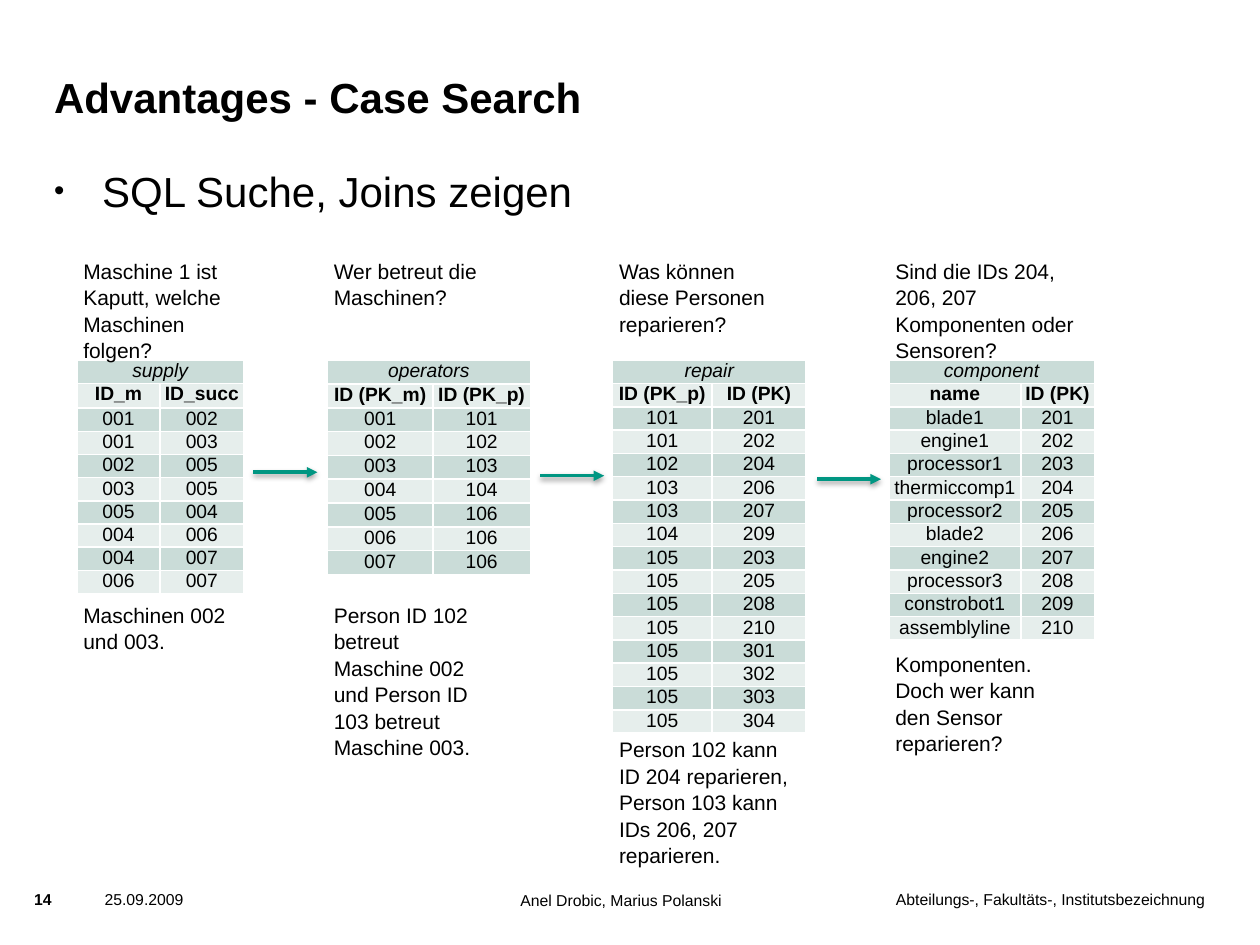
"""Build the slide on case search: four joined tables with questions and answers."""
import pptx
import pptx.dml.color
import pptx.enum.shapes
import pptx.enum.text
import pptx.oxml
import pptx.oxml.ns
import pptx.util

Cm = pptx.util.Cm
Pt = pptx.util.Pt
ALIGN = pptx.enum.text.PP_ALIGN
ANCHOR = pptx.enum.text.MSO_ANCHOR
BLACK = pptx.dml.color.RGBColor(0x00, 0x00, 0x00)
TEAL = pptx.dml.color.RGBColor(0x00, 0x96, 0x82)
BAND_DARK = pptx.dml.color.RGBColor(0xCA, 0xDC, 0xD8)
BAND_LIGHT = pptx.dml.color.RGBColor(0xE6, 0xEE, 0xEC)
NAMESPACE = pptx.oxml.ns.nsdecls("a")


def write_text(frame, text, size=12, bold=False, italic=False, align=ALIGN.LEFT,
               anchor=ANCHOR.TOP, margin=0, before=0, spacing=None, wrap=True):
    frame.word_wrap = wrap
    frame.vertical_anchor = anchor
    frame.margin_left = frame.margin_right = Cm(margin)
    frame.margin_top = frame.margin_bottom = Cm(margin)
    paragraph = frame.paragraphs[0]
    paragraph.alignment = align
    paragraph.space_before = Pt(before)
    paragraph.line_spacing = spacing
    run = paragraph.add_run()
    run.text = text
    run.font.name = "Arial"
    run.font.size = Pt(size)
    run.font.bold = bold
    run.font.italic = italic
    run.font.color.rgb = BLACK
    return paragraph


def add_text(left, top, width, height, text, **text_format):
    shape = slide.shapes.add_textbox(Cm(left), Cm(top), Cm(width), Cm(height))
    return write_text(shape.text_frame, text, **text_format)


presentation = pptx.Presentation()
presentation.slide_width = Cm(25.4)
presentation.slide_height = Cm(19.05)
slide = presentation.slides.add_slide(presentation.slide_layouts[6])

footer = {"size": 9, "before": 5}
add_text(16.69, 17.93, 7.6, 0.36, "Abteilungs-, Fakultäts-, Institutsbezeichnung",
         align=ALIGN.RIGHT, **footer)
add_text(2.11, 17.93, 2.26, 0.36, "25.09.2009", **footer)
add_text(10.49, 17.96, 4.42, 0.36, "Anel Drobic, Marius Polanski", **footer)
add_text(0.69, 17.93, 0.38, 0.36, "14", bold=True, wrap=False, **footer)

add_text(1.09, 0.91, 19.2, 1.55, "Advantages - Case Search", size=24, bold=True,
         anchor=ANCHOR.BOTTOM)
bullet = add_text(1.09, 3.33, 23.22, 13.59, "SQL Suche, Joins zeigen", size=24, before=5)
properties = bullet._p.get_or_add_pPr()
properties.set("marL", str(Cm(0.97)))
properties.set("indent", str(-Cm(0.97)))
for element in ('<a:buSzPct {} val="70000"/>', '<a:buFont {} typeface="Arial"/>',
                '<a:buChar {} char="•"/>'):
    properties.append(pptx.oxml.parse_xml(element.format(NAMESPACE)))

QUESTION_TOP, TABLE_TOP = 5.05, 7.26
steps = [
    {"left": 1.55, "widths": (1.68, 1.68), "row": 0.45, "header": 0.5, "name": "supply",
     "columns": ("ID_m", "ID_succ"),
     "rows": [("001", "002"), ("001", "003"), ("002", "005"), ("003", "005"),
              ("005", "004"), ("004", "006"), ("004", "007"), ("006", "007")],
     "question": "Maschine 1 ist Kaputt, welche Maschinen folgen?",
     "question_size": (3.38, 2.72),
     "answer": "Maschinen 002 und 003.", "answer_box": (11.99, 3.38, 1.73)},
    {"left": 6.6, "widths": (2.13, 1.96), "row": 0.48, "header": 0.48, "name": "operators",
     "columns": ("ID (PK_m)", "ID (PK_p)"),
     "rows": [("001", "101"), ("002", "102"), ("003", "103"), ("004", "104"),
              ("005", "106"), ("006", "106"), ("007", "106")],
     "question": "Wer betreut die Maschinen?", "question_size": (3.38, 1.73),
     "answer": "Person ID 102 betreut Maschine 002 und Person ID 103 betreut Maschine 003.",
     "answer_box": (11.99, 3.38, 3.71)},
    {"left": 12.35, "widths": (2.0, 1.9), "row": 0.47, "header": 0.47, "name": "repair",
     "columns": ("ID (PK_p)", "ID (PK)"),
     "rows": [("101", "201"), ("101", "202"), ("102", "204"), ("103", "206"),
              ("103", "207"), ("104", "209"), ("105", "203"), ("105", "205"),
              ("105", "208"), ("105", "210"), ("105", "301"), ("105", "302"),
              ("105", "303"), ("105", "304")],
     "question": "Was können diese Personen reparieren?", "question_size": (3.38, 2.21),
     "answer": "Person 102 kann ID 204 reparieren, Person 103 kann IDs 206, 207 reparieren.",
     "answer_box": (14.7, 3.94, 3.2)},
    {"left": 17.92, "widths": (2.66, 1.48), "row": 0.47, "header": 0.47, "name": "component",
     "columns": ("name", "ID (PK)"),
     "rows": [("blade1", "201"), ("engine1", "202"), ("processor1", "203"),
              ("thermiccomp1", "204"), ("processor2", "205"), ("blade2", "206"),
              ("engine2", "207"), ("processor3", "208"), ("constrobot1", "209"),
              ("assemblyline", "210")],
     "question": "Sind die IDs 204, 206, 207 Komponenten oder Sensoren?",
     "question_size": (4.14, 2.72),
     "answer": "Komponenten. Doch wer kann den Sensor reparieren?",
     "answer_box": (12.98, 3.38, 2.72)},
]

for step in steps:
    rows = [(step["name"], ""), step["columns"], *step["rows"]]
    heights = [step["row"], step["header"]] + [step["row"]] * len(step["rows"])
    table = slide.shapes.add_table(
        len(rows), 2, Cm(step["left"]), Cm(TABLE_TOP),
        Cm(sum(step["widths"])), Cm(sum(heights))).table
    for column, width in zip(table.columns, step["widths"]):
        column.width = Cm(width)
    table.cell(0, 0).merge(table.cell(0, 1))
    for row_index, (values, height) in enumerate(zip(rows, heights)):
        table.rows[row_index].height = Cm(height)
        for column_index, value in enumerate(values):
            cell = table.cell(row_index, column_index)
            cell.margin_left = cell.margin_right = cell.margin_top = cell.margin_bottom = 0
            if value:
                write_text(cell.text_frame, value, size=11, align=ALIGN.CENTER,
                           bold=row_index == 1, italic=row_index == 0)
            for side in ("lnL", "lnR", "lnT", "lnB"):
                cell._tc.get_or_add_tcPr().append(pptx.oxml.parse_xml(
                    f'<a:{side} {NAMESPACE} w="12700"><a:solidFill>'
                    f'<a:srgbClr val="FFFFFF"/></a:solidFill></a:{side}>'))
            cell.fill.solid()
            cell.fill.fore_color.rgb = BAND_LIGHT if row_index % 2 else BAND_DARK

    callout = {"margin": 0.13, "spacing": 1.05}
    add_text(step["left"], QUESTION_TOP, *step["question_size"], step["question"], **callout)
    answer_top, answer_width, answer_height = step["answer_box"]
    add_text(step["left"], answer_top, answer_width, answer_height, step["answer"], **callout)

for left, top in ((5.11, 9.52), (10.89, 9.59), (16.47, 9.66)):
    arrow = slide.shapes.add_connector(pptx.enum.shapes.MSO_CONNECTOR.STRAIGHT,
                                       Cm(left), Cm(top), Cm(left + 1.29), Cm(top))
    arrow.line.color.rgb = TEAL
    arrow.line.width = Pt(2)
    arrow.line._get_or_add_ln().append(
        pptx.oxml.parse_xml(f'<a:tailEnd {NAMESPACE} type="triangle"/>'))
    arrow._element.spPr.append(pptx.oxml.parse_xml(
        f'<a:effectLst {NAMESPACE}><a:outerShdw blurRad="38100" dist="20000" dir="5400000" '
        'rotWithShape="0"><a:srgbClr val="000000"><a:alpha val="38000"/></a:srgbClr>'
        '</a:outerShdw></a:effectLst>'))

presentation.save("out.pptx")
